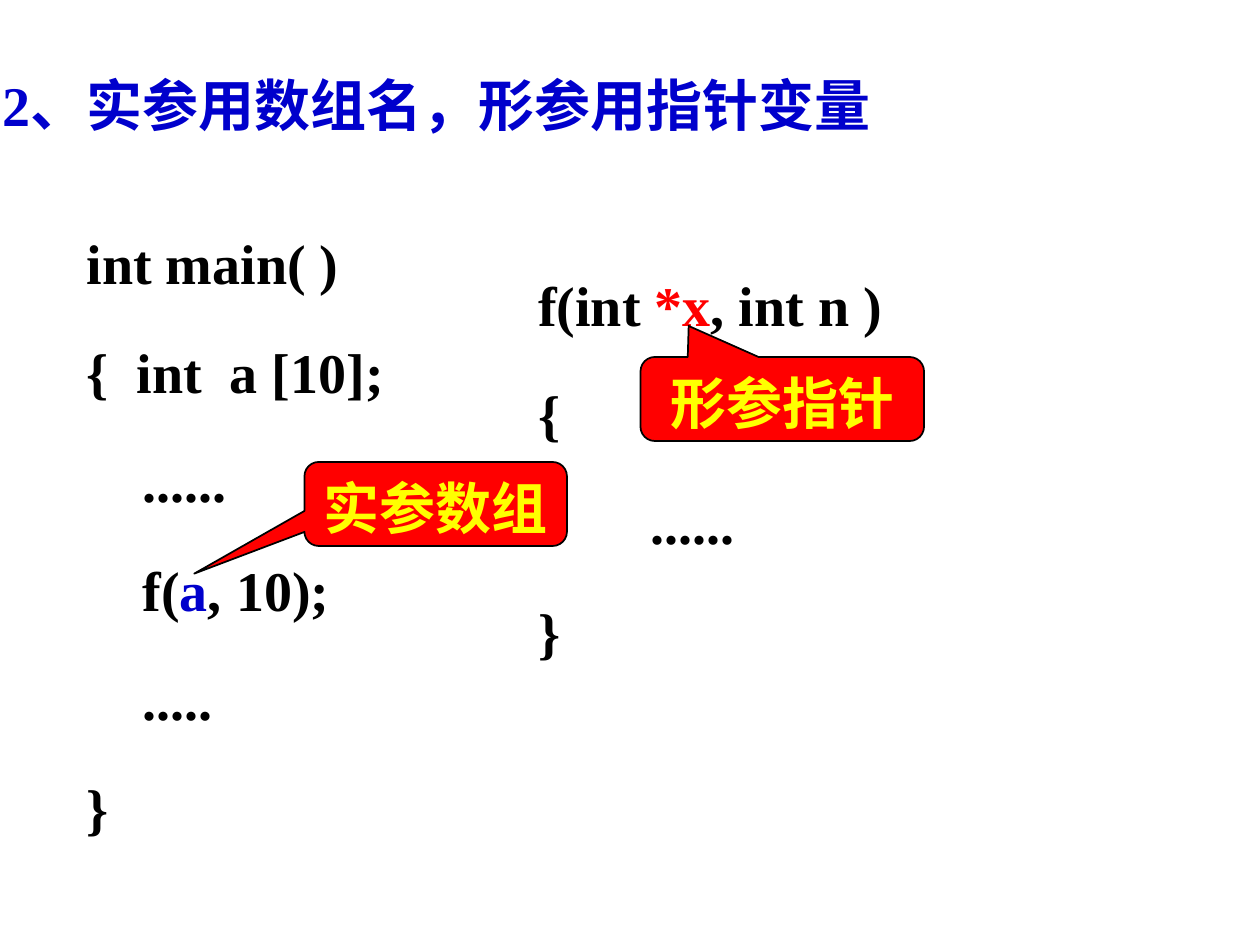
from pptx import Presentation
from pptx.dml.color import RGBColor
from pptx.enum import shapes, text
from pptx.util import Pt

BLACK, BLUE, RED, YELLOW = "000000", "0000CC", "FF0000", "FFFF00"


def colour(value):
    return RGBColor.from_string(value)


def write_lines(frame, lines, align=text.PP_ALIGN.LEFT):
    """Fill the frame with lines, each a list of (words, colour) spans."""
    frame.word_wrap = True
    frame.margin_left = frame.margin_right = Pt(1.5)
    frame.margin_top = frame.margin_bottom = Pt(0.75)
    for index, line in enumerate(lines):
        para = frame.paragraphs[0] if index == 0 else frame.add_paragraph()
        para.alignment = align
        para.line_spacing = 1.1
        para.space_before = Pt(20 if index else 0)
        for words, shade in line:
            span = para.add_run()
            span.text = words
            span.font.name = "Times New Roman"
            span.font.size = Pt(32)
            span.font.bold = True
            span.font.color.rgb = colour(shade)


def add_text(page, box, lines):
    frame = page.shapes.add_textbox(*map(Pt, box)).text_frame
    write_lines(frame, lines)
    frame.auto_size = text.MSO_AUTO_SIZE.SHAPE_TO_FIT_TEXT


def add_callout(page, box, tip, label):
    """Draw a callout; tip is its point as a share of the box, from the centre."""
    callout = page.shapes.add_shape(
        shapes.MSO_SHAPE.ROUNDED_RECTANGULAR_CALLOUT, *map(Pt, box))
    callout.adjustments[0], callout.adjustments[1] = tip
    callout.adjustments[2] = 0.17
    callout.shadow.inherit = False
    callout.fill.solid()
    callout.fill.fore_color.rgb = colour(RED)
    callout.line.color.rgb = colour(BLACK)
    callout.line.width = Pt(1)
    callout.text_frame.vertical_anchor = text.MSO_ANCHOR.MIDDLE
    write_lines(callout.text_frame, [[(label, YELLOW)]], text.PP_ALIGN.CENTER)


def main():
    deck = Presentation()
    deck.slide_width, deck.slide_height = Pt(720), Pt(540)
    page = deck.slides.add_slide(deck.slide_layouts[6])

    add_text(page, (0, 36, 528, 44), [[("2、实参用数组名，形参用指针变量", BLUE)]])
    add_text(page, (48, 126, 216, 355), [
        [("int main( )", BLACK)],
        [("{  int  a [10];", BLACK)],
        [("    ......", BLACK)],
        [("    f(", BLACK), ("a", BLUE), (", 10);", BLACK)],
        [("    .....", BLACK)],
        [("}", BLACK)],
    ])
    add_text(page, (306, 150, 252, 230), [
        [("f(int ", BLACK), ("*x", RED), (", int n )", BLACK)],
        [("{", BLACK)],
        [("        ......", BLACK)],
        [("}", BLACK)],
    ])
    add_callout(page, (174, 264, 150, 48), (-0.92, 0.83), "实参数组")
    add_callout(page, (366, 204, 162, 48), (-0.33, -0.87), "形参指针")

    deck.save("out.pptx")


if __name__ == "__main__":
    main()
